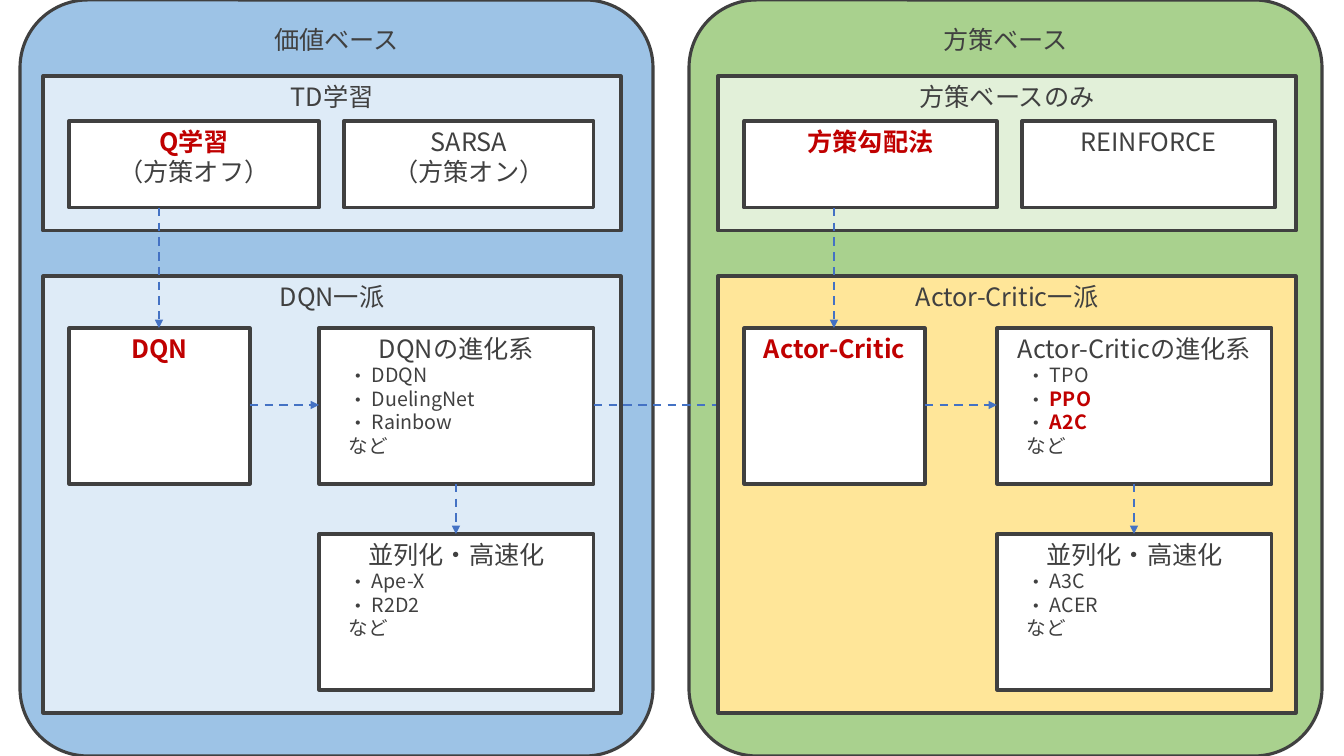
from lxml.etree import SubElement
from pptx import Presentation
from pptx.dml.color import RGBColor
from pptx.enum.dml import MSO_LINE
from pptx.enum.shapes import MSO_CONNECTOR, MSO_SHAPE
from pptx.enum.text import MSO_ANCHOR, PP_ALIGN
from pptx.oxml.ns import qn
from pptx.util import Pt

SCALE = 914400 / 100.8  # EMU per pixel
FONT = "Noto Sans CJK JP"
COLORS = {
    "ink": "404040", "key": "C00000", "arrow": "4472C4", "white": "FFFFFF",
    "blue": "9DC3E6", "pale_blue": "DEEBF7",
    "green": "A9D18E", "pale_green": "E2F0D9", "yellow": "FFE699",
}
# Rows shared by both halves: top and height
GROUP_TOP, GROUP_BOTTOM = (76, 155), (276, 437)
METHOD_ROW, DEEP_ROW, PARALLEL_ROW = (121, 87), (328, 156), (534, 156)
GROUP_WIDTH, DEEP_WIDTH, LIST_WIDTH = 578, 181, 275
ARROW_Y = 405


def emu(pixels):
    return round(pixels * SCALE)


def color(name):
    return RGBColor.from_string(COLORS[name])


def add_text(para, text, size=18, ink="ink", bold=False):
    span = para.add_run()
    span.text = text
    span.font.size = Pt(size)
    span.font.bold = bold
    span.font.name = FONT
    span.font.color.rgb = color(ink)
    SubElement(span.font._element, qn("a:ea")).set("typeface", FONT)


def set_indent(para, left, hanging=0, bullet=None):
    properties = para._p.get_or_add_pPr()
    properties.set("marL", str(emu(left)))
    properties.set("indent", str(-emu(hanging)))
    if bullet:
        bullet_color = SubElement(properties, qn("a:buClr"))
        SubElement(bullet_color, qn("a:srgbClr")).set("val", COLORS["ink"])
        SubElement(properties, qn("a:buFont")).set("typeface", FONT)
        SubElement(properties, qn("a:buChar")).set("char", bullet)


def add_box(page, left, row, width, fill, headings, key=False, rounded=False):
    """Outlined box with centred headings; key marks the first one red."""
    top, height = row
    kind = MSO_SHAPE.ROUNDED_RECTANGLE if rounded else MSO_SHAPE.RECTANGLE
    box = page.shapes.add_shape(kind, emu(left), emu(top), emu(width), emu(height))
    if rounded:
        box.adjustments[0] = 0.107
    box.shadow.inherit = False
    box.fill.solid()
    box.fill.fore_color.rgb = color(fill)
    box.line.color.rgb = color("ink")
    box.line.width = Pt(2.25)
    frame = box.text_frame
    frame.word_wrap = True
    frame.vertical_anchor = MSO_ANCHOR.TOP
    for index, heading in enumerate(headings):
        para = frame.add_paragraph() if index else frame.paragraphs[0]
        para.alignment = PP_ALIGN.CENTER
        marked = key and index == 0
        add_text(para, heading, ink="key" if marked else "ink", bold=marked)
    return box


def add_list_box(page, left, row, heading, items, keys=()):
    frame = add_box(page, left, row, LIST_WIDTH, "white", [heading]).text_frame
    for item in items:
        para = frame.add_paragraph()
        para.alignment = PP_ALIGN.LEFT
        set_indent(para, 43, 23, "・")
        marked = item in keys
        add_text(para, item, size=14, ink="key" if marked else "ink", bold=marked)
    closing = frame.add_paragraph()
    closing.alignment = PP_ALIGN.LEFT
    set_indent(closing, 20)
    add_text(closing, "など", size=14)


def add_arrow(page, start, end):
    arrow = page.shapes.add_connector(
        MSO_CONNECTOR.STRAIGHT, *(emu(value) for value in (*start, *end)))
    arrow.line.color.rgb = color("arrow")
    arrow.line.width = Pt(1.5)
    arrow.line.dash_style = MSO_LINE.DASH
    SubElement(arrow.line._get_or_add_ln(), qn("a:tailEnd")).set("type", "triangle")
    SubElement(arrow._element.spPr, qn("a:effectLst"))


def add_half_arrows(page, method_x, deep_right, list_left, list_x):
    add_arrow(page, (method_x, sum(METHOD_ROW)), (method_x, DEEP_ROW[0]))
    add_arrow(page, (deep_right, ARROW_Y), (list_left, ARROW_Y))
    add_arrow(page, (list_x, sum(DEEP_ROW)), (list_x, PARALLEL_ROW[0]))


def add_value_half(page):
    add_box(page, 43, GROUP_TOP, GROUP_WIDTH, "pale_blue", ["TD学習"])
    add_box(page, 69, METHOD_ROW, 250, "white", ["Q学習", "（方策オフ）"], key=True)
    add_box(page, 344, METHOD_ROW, 250, "white", ["SARSA", "（方策オン）"])
    add_box(page, 43, GROUP_BOTTOM, GROUP_WIDTH, "pale_blue", ["DQN一派"])
    add_box(page, 69, DEEP_ROW, DEEP_WIDTH, "white", ["DQN"], key=True)
    add_list_box(page, 319, DEEP_ROW, "DQNの進化系", ["DDQN", "DuelingNet", "Rainbow"])
    add_list_box(page, 319, PARALLEL_ROW, "並列化・高速化", ["Ape-X", "R2D2"])
    add_half_arrows(page, 159, 250, 319, 456)


def add_policy_half(page):
    add_box(page, 718, GROUP_TOP, GROUP_WIDTH, "pale_green", ["方策ベースのみ"])
    add_box(page, 744, METHOD_ROW, 253, "white", ["方策勾配法"], key=True)
    add_box(page, 1022, METHOD_ROW, 253, "white", ["REINFORCE"])
    add_box(page, 718, GROUP_BOTTOM, GROUP_WIDTH, "yellow", ["Actor-Critic一派"])
    add_box(page, 744, DEEP_ROW, DEEP_WIDTH, "white", ["Actor-Critic"], key=True)
    add_list_box(page, 997, DEEP_ROW, "Actor-Criticの進化系",
                 ["TPO", "PPO", "A2C"], keys=("PPO", "A2C"))
    add_list_box(page, 997, PARALLEL_ROW, "並列化・高速化", ["A3C", "ACER"])
    add_half_arrows(page, 834, 925, 997, 1134)


def main():
    deck = Presentation()
    deck.slide_width, deck.slide_height = emu(1344), emu(756)
    page = deck.slides.add_slide(deck.slide_layouts[6])

    # Outer panels
    add_box(page, 20, (0, 756), 633, "blue", ["価値ベース"], rounded=True)
    add_box(page, 689, (0, 756), 633, "green", ["方策ベース"], rounded=True)

    # Halves, with the link between them running under the right one
    add_value_half(page)
    add_arrow(page, (594, ARROW_Y), (744, ARROW_Y))
    add_policy_half(page)

    deck.save("out.pptx")


main()
